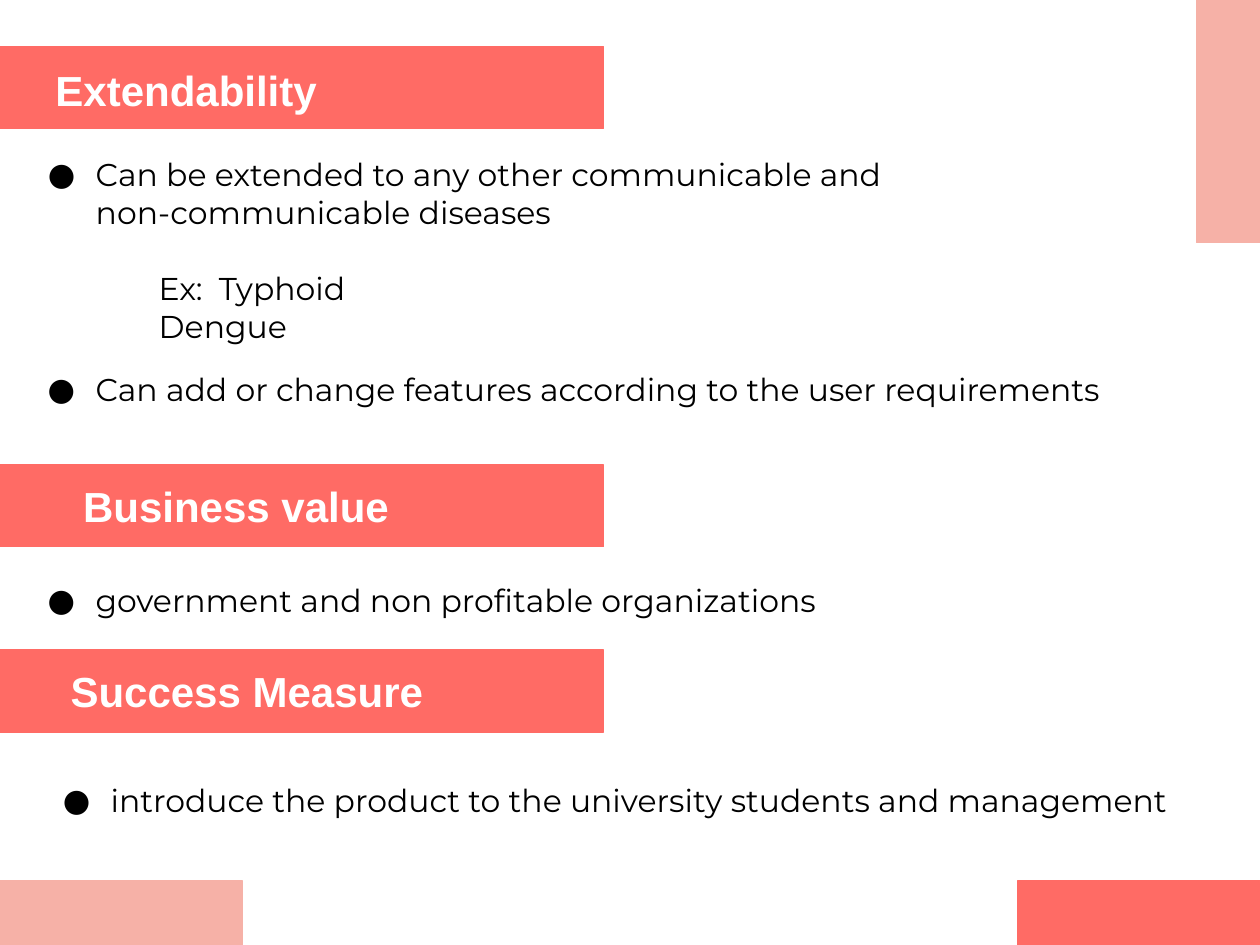
from dataclasses import dataclass

from lxml.etree import SubElement
from pptx import Presentation
from pptx.dml.color import RGBColor
from pptx.enum.shapes import MSO_SHAPE as Shape
from pptx.enum.text import MSO_ANCHOR as Anchor, MSO_AUTO_SIZE as AutoSize, PP_ALIGN as Align
from pptx.oxml.ns import qn
from pptx.util import Inches, Pt

CORAL, PINK, WHITE, BLACK = "FF6B65", "F6B1A7", "FFFFFF", "000000"


@dataclass
class Block:
    left: float
    top: float
    width: float
    height: float
    color: str
    rotation: int = 0
    text: str = ""
    inset: float = 0.1


@dataclass
class Line:
    text: str
    margin: float = 0.5
    bullet: bool = False
    before: int = 0


@dataclass
class Bullets:
    left: float
    top: float
    width: float
    height: float
    lines: list[Line]


BLOCKS = [
    # Section banners
    Block(0, 0.37, 4.79, 0.65, CORAL),
    Block(0, 3.69, 4.79, 0.65, CORAL, text="Business value", inset=0.66),
    Block(0, 5.16, 4.79, 0.65, CORAL, text="Success Measure", inset=0.56),
    # Edge accents
    Block(0, 6.99, 1.92, 0.51, PINK),
    Block(8.79, 0.71, 1.92, 0.51, PINK, rotation=90),
    Block(8.08, 6.99, 1.92, 0.51, CORAL),
]

EXTEND = Bullets(0.16, 1.13, 10.25, 1.72, [
    Line("Can be extended to any other communicable and", bullet=True),
    Line("non-communicable diseases"),
    Line("Ex:  Typhoid", margin=1, before=22),
    Line("Dengue", margin=1),
])
SINGLES = [
    Bullets(0.16, 2.84, 9.91, 0.5, [
        Line("Can add or change features according to the user requirements", bullet=True)]),
    Bullets(0.16, 4.51, 6.88, 0.5, [
        Line("government and non profitable organizations", bullet=True)]),
    Bullets(0.28, 6.1, 9.49, 0.5, [
        Line("introduce the product to the university students and management", bullet=True)]),
]


def rgb(color: str) -> RGBColor:
    return RGBColor.from_string(color)


def place(sp, left: float, top: float, width: float, height: float) -> None:
    sp.left, sp.top = Inches(left), Inches(top)
    sp.width, sp.height = Inches(width), Inches(height)


def set_frame(tf, anchor, left: float = 0.1) -> None:
    tf.word_wrap = True
    tf.auto_size = AutoSize.NONE
    tf.vertical_anchor = anchor
    tf.margin_left = Inches(left)
    tf.margin_right = tf.margin_top = tf.margin_bottom = Inches(0.1)


def format_run(r, font: str, size: int, color: str, bold: bool = False) -> None:
    r.font.name, r.font.size, r.font.bold = font, Pt(size), bold
    r.font.color.rgb = rgb(color)


def write_heading(tf, text: str, inset: float, anchor) -> None:
    set_frame(tf, anchor, inset)
    tf.text = text
    p = tf.paragraphs[0]
    p.alignment = Align.LEFT
    format_run(p.runs[0], "Arial", 24, WHITE, bold=True)


def add_block(slide, block: Block) -> None:
    sp = slide.shapes.add_shape(Shape.RECTANGLE, 0, 0, 0, 0)
    place(sp, block.left, block.top, block.width, block.height)
    sp.rotation = block.rotation
    sp.shadow.inherit = False
    sp.fill.solid()
    sp.fill.fore_color.rgb = rgb(block.color)
    sp.line.color.rgb = rgb(block.color)
    sp.line.width = Pt(0.75)
    if block.text:
        write_heading(sp.text_frame, block.text, block.inset, Anchor.MIDDLE)


def set_indent(p, line: Line) -> None:
    pPr = p._p.get_or_add_pPr()
    pPr.set("marL", str(Inches(line.margin)))
    pPr.set("indent", str(Inches(-0.38) if line.bullet else 0))
    if line.bullet:
        color = SubElement(pPr, qn("a:buClr"))
        SubElement(color, qn("a:srgbClr"), val=BLACK)
        SubElement(pPr, qn("a:buFont"), typeface="Montserrat")
        SubElement(pPr, qn("a:buChar"), char="●")
    else:
        SubElement(pPr, qn("a:buNone"))


def write_bullets(sp, bullets: Bullets) -> None:
    place(sp, bullets.left, bullets.top, bullets.width, bullets.height)
    tf = sp.text_frame
    set_frame(tf, Anchor.TOP)
    tf.text = "\n".join(line.text for line in bullets.lines)
    for p, line in zip(tf.paragraphs, bullets.lines):
        set_indent(p, line)
        p.space_before = Pt(line.before)
        format_run(p.runs[0], "Montserrat", 18, BLACK)


def main() -> None:
    prs = Presentation()
    prs.slide_width, prs.slide_height = Inches(10), Inches(7.5)
    slide = prs.slides.add_slide(prs.slide_layouts[1])

    # Banners and accents
    for block in BLOCKS:
        add_block(slide, block)

    # Title, brought in front of its banner
    title = slide.shapes.title
    place(title, 0.34, 0.41, 2.68, 0.59)
    write_heading(title.text_frame, "Extendability", 0.1, Anchor.TOP)
    title.element.getparent().append(title.element)

    # Lists
    write_bullets(slide.placeholders[1], EXTEND)
    for bullets in SINGLES:
        write_bullets(slide.shapes.add_textbox(0, 0, 0, 0), bullets)

    prs.save("out.pptx")


if __name__ == "__main__":
    main()
